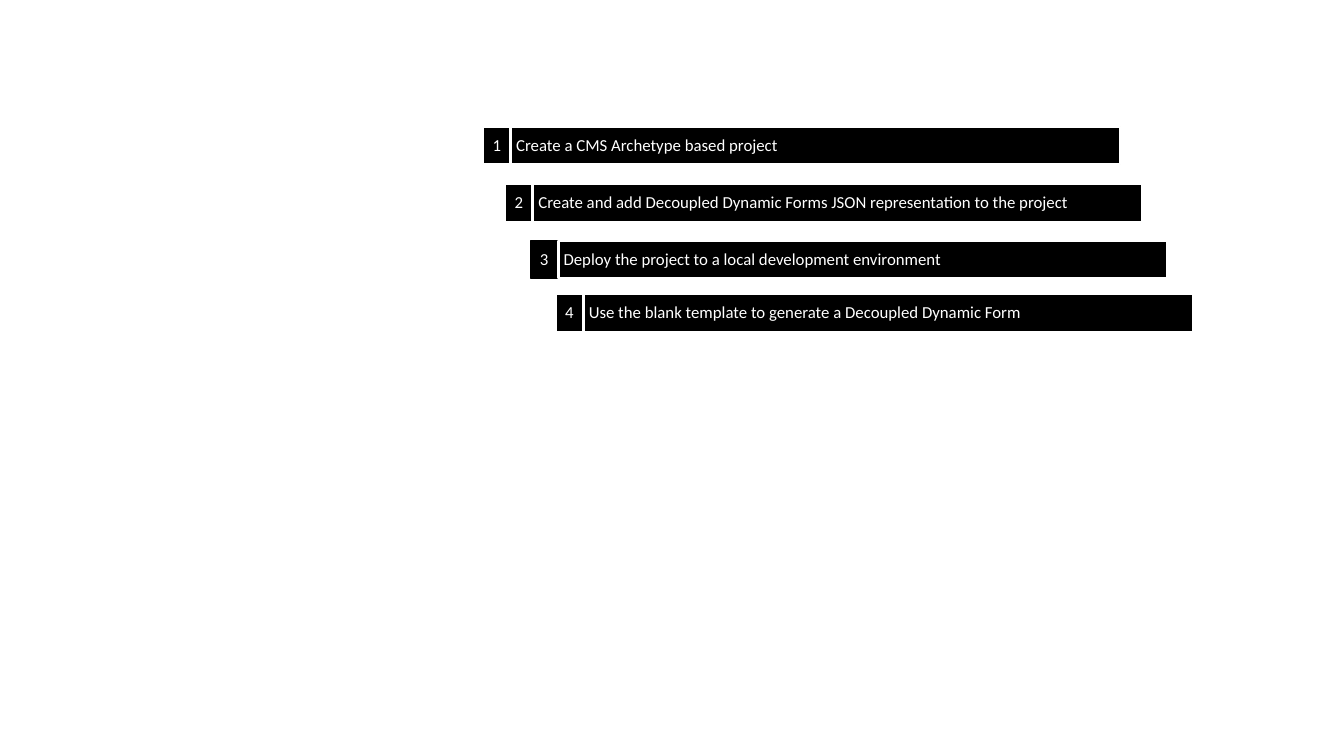
from pptx import Presentation
from pptx.dml.color import RGBColor
from pptx.enum.shapes import MSO_SHAPE
from pptx.enum.text import MSO_ANCHOR, PP_ALIGN
from pptx.util import Inches, Pt

RECTANGLE = MSO_SHAPE.RECTANGLE
MIDDLE = MSO_ANCHOR.MIDDLE
LEFT, RIGHT = PP_ALIGN.LEFT, PP_ALIGN.RIGHT

COLOURS = {"bar": "000000", "edge": "FFFFFF", "text": "FFFFFF"}
FONT = "Calibri"
NUMBER_WIDTH, GAP = 0.27, 0.01
STEP_WIDTH, STEP_HEIGHT = 6.32, 0.37

# Left, top, wording and number outline (colour, points) of each step
WHITE_EDGE = (COLOURS["edge"], 1.5)
BLACK_EDGE = (COLOURS["bar"], 1)
STEPS = [
    (4.79, 1.26, "Create a CMS Archetype based project", WHITE_EDGE),
    (5.01, 1.83, "Create and add Decoupled Dynamic Forms JSON "
                 "representation to the project", WHITE_EDGE),
    (5.26, 2.39, "Deploy the project to a local development environment",
     BLACK_EDGE),
    (5.51, 2.92, "Use the blank template to generate a Decoupled Dynamic Form",
     WHITE_EDGE),
]


def add_bar(page, box, text, align, insets, edge):
    """Draw one filled bar with a single line of text."""
    bar = page.shapes.add_shape(RECTANGLE, *[Inches(n) for n in box])
    bar.shadow.inherit = False
    bar.fill.solid()
    bar.fill.fore_color.rgb = RGBColor.from_string(COLOURS["bar"])
    edge_colour, edge_width = edge
    bar.line.color.rgb = RGBColor.from_string(edge_colour)
    bar.line.width = Pt(edge_width)

    frame = bar.text_frame
    frame.word_wrap = True
    frame.vertical_anchor = MIDDLE
    side, end = [Inches(n) for n in insets]
    frame.margin_left = frame.margin_right = side
    frame.margin_top = frame.margin_bottom = end
    para = frame.paragraphs[0]
    para.alignment = align
    para.line_spacing = 0.9
    span = para.add_run()
    span.text = text
    span.font.name = FONT
    span.font.size = Pt(12)
    span.font.color.rgb = RGBColor.from_string(COLOURS["text"])


def add_step(page, box, number, text, number_edge):
    """Place a number and its wording side by side in the box."""
    left, top, width, height = box
    offset = NUMBER_WIDTH + GAP
    add_bar(page, (left, top, NUMBER_WIDTH, height), str(number), RIGHT,
            (0.09, 0.03), number_edge)
    add_bar(page, (left + offset, top, width - offset, height), text, LEFT,
            (0.05, 0.05), WHITE_EDGE)


deck = Presentation()
deck.slide_width, deck.slide_height = Inches(13.33), Inches(7.5)
page = deck.slides.add_slide(deck.slide_layouts[6])

# Staircase of numbered steps
for number, (left, top, text, number_edge) in enumerate(STEPS, 1):
    add_step(page, (left, top, STEP_WIDTH, STEP_HEIGHT), number, text,
             number_edge)

deck.save("out.pptx")
